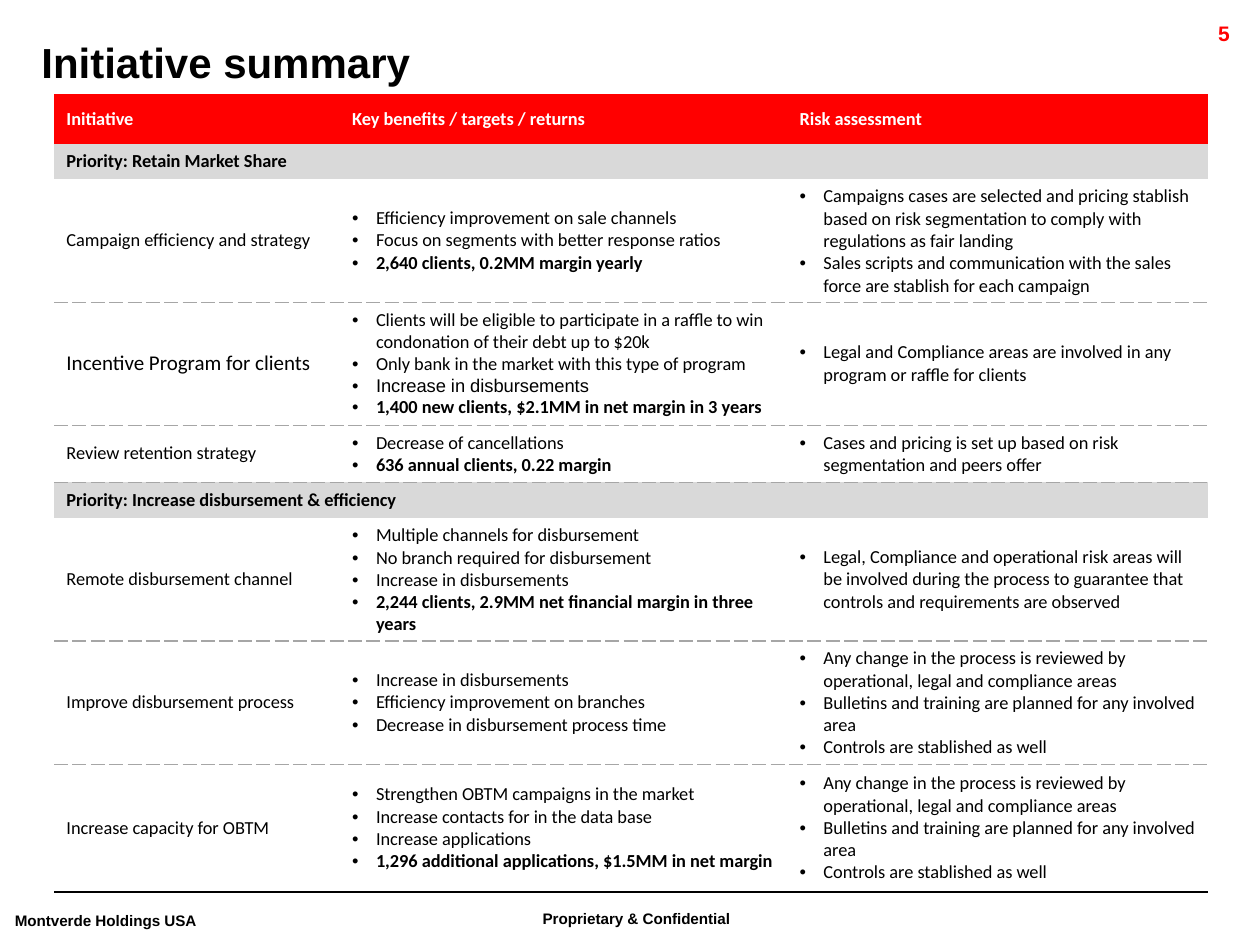
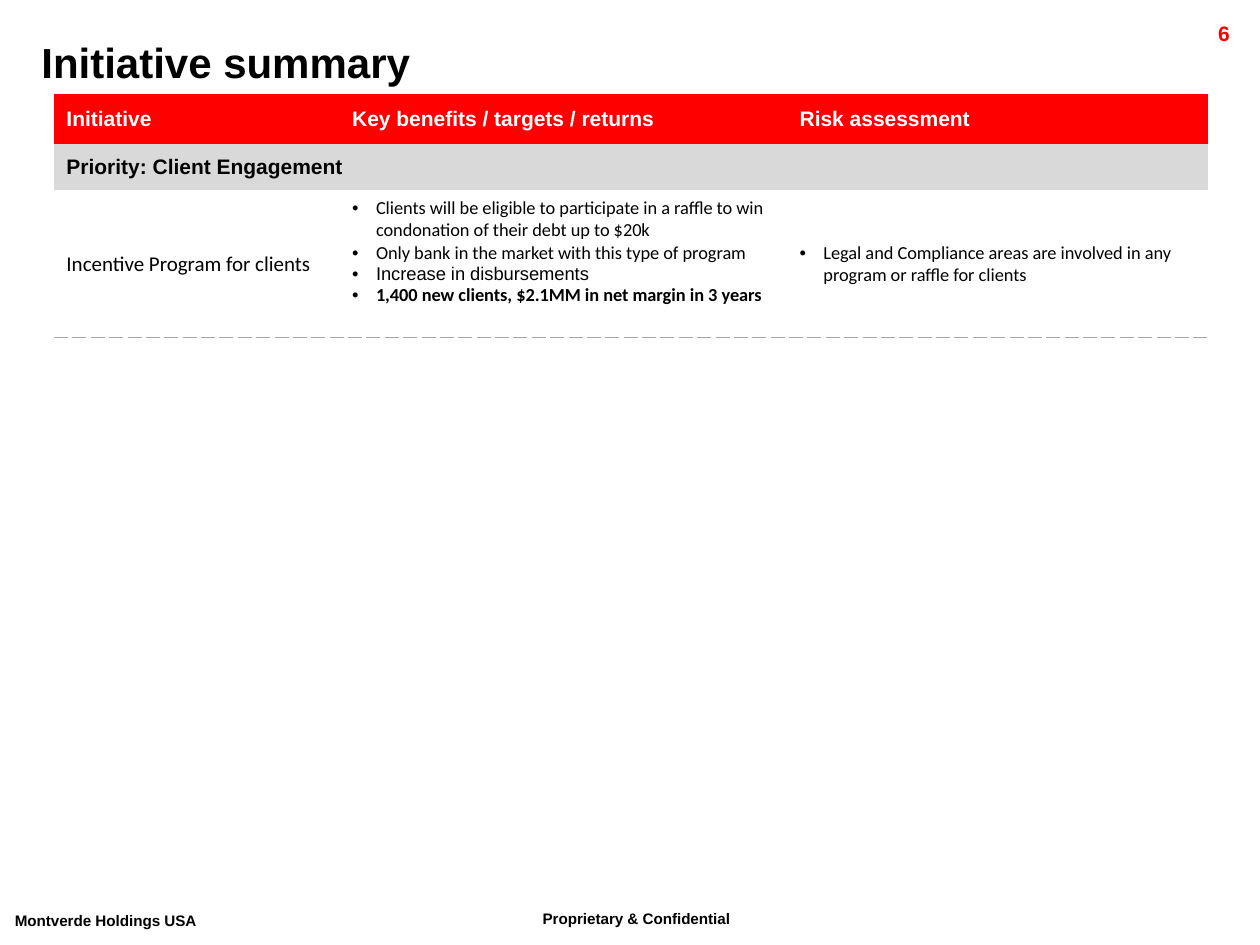
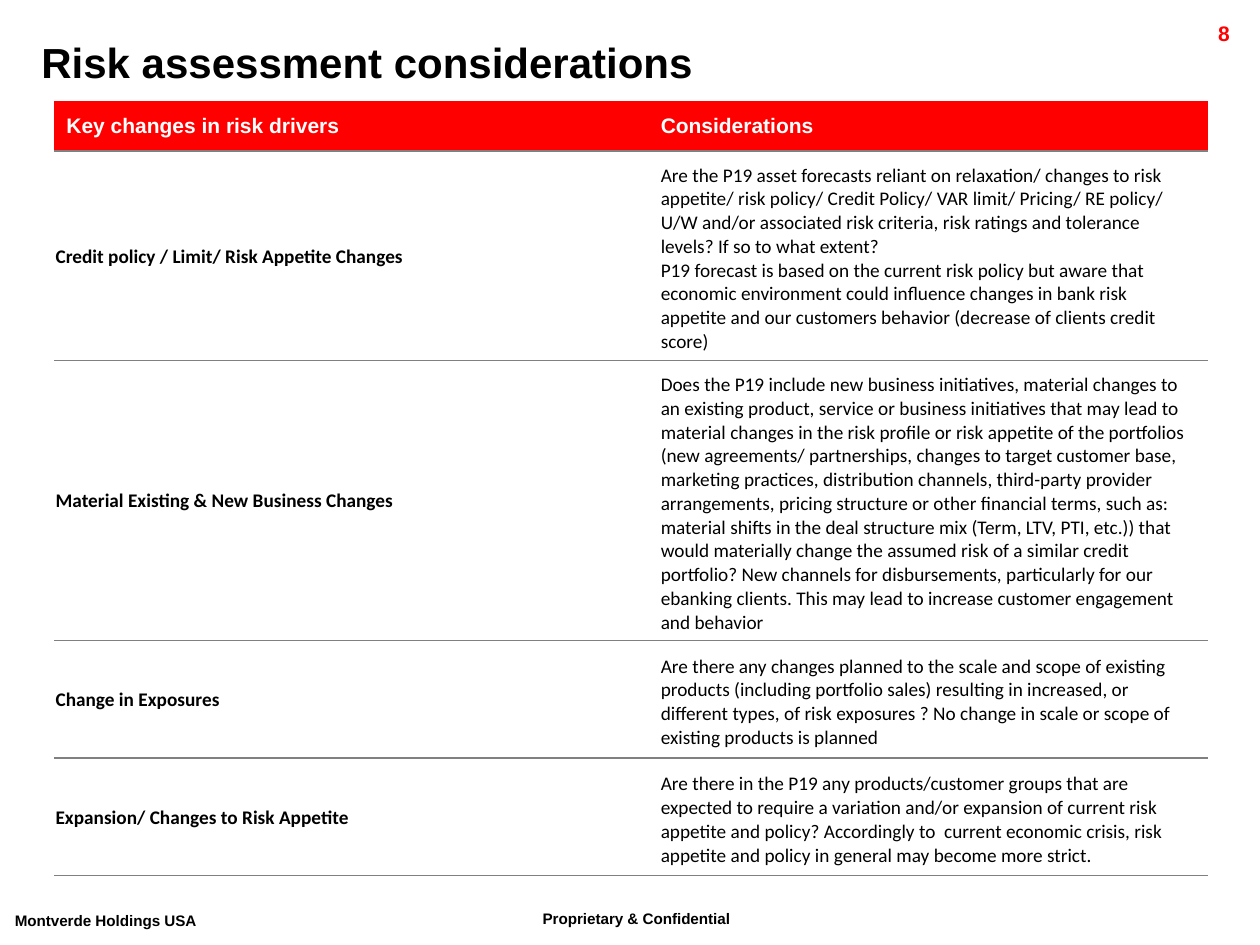
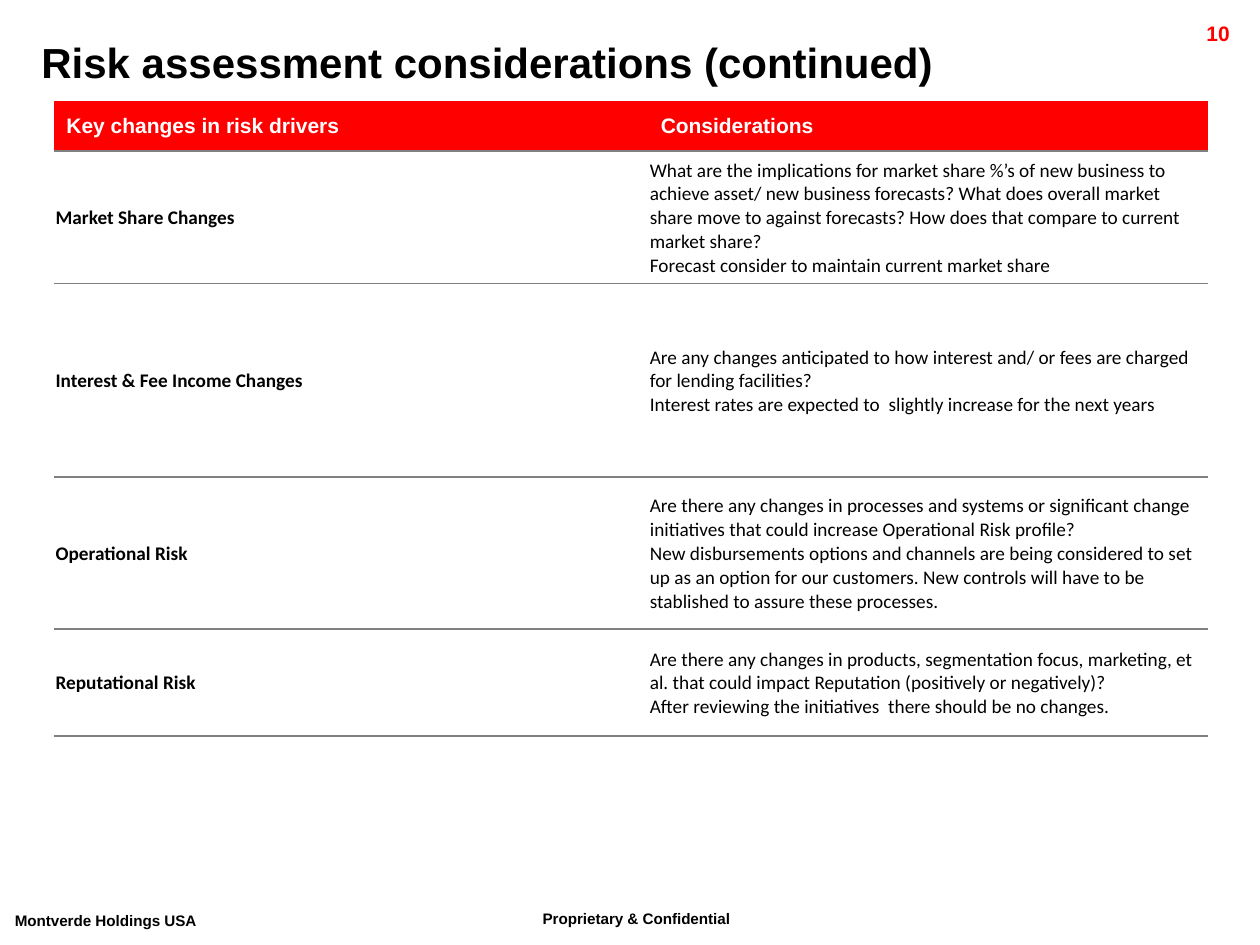
from lxml import etree
from pptx import Presentation
from pptx.dml.color import RGBColor
from pptx.enum.text import MSO_ANCHOR, MSO_AUTO_SIZE, PP_ALIGN
from pptx.oxml.ns import qn
from pptx.util import Cm, Pt

MIDDLE = MSO_ANCHOR.MIDDLE
NO_FIT = MSO_AUTO_SIZE.NONE
LEFT, RIGHT = PP_ALIGN.LEFT, PP_ALIGN.RIGHT
TITLE_ONLY = 5
NO_GRID_STYLE = "{2D5ABB26-0587-4C30-8999-92F81FD0307C}"

COLORS = {
    "black": "000000",
    "white": "FFFFFF",
    "red": "FF0000",
    "band": "D9D9D9",
    "dash": "A6A6A6",
    "line": "808080",
}
# Horizontal rules: colour, width in points, dash
RULES = {
    "dashed": ("dash", 0.75, "sysDash"),
    "grey": ("line", 1, "solid"),
    "black": ("black", 1, "solid"),
}
# Cell insets in cm: left, top, right, bottom
NORMAL = (0.25, 0.13, 0.25, 0.13)
TIGHT = (0.03, 0.03, 0.03, 0)
ROOMY = (0.25, 0.25, 0.25, 0.13)
RAISED = (0.25, 0.13, 0.25, 0.61)

FOOTERS = [
    ("Proprietary & Confidential", 10.69, 18.14, 5.54),
    ("Montverde Holdings USA", 0.05, 18.19, 4.85),
]
TABLE_LEFT = 1.09
INITIATIVE_COLUMNS = (5.76, 9.02, 8.49)
DRIVER_COLUMNS = (11.98, 11.28)

# Text used on more than one slide
INITIATIVE_HEAD = [["Initiative"], ["Key benefits / targets / returns"], ["Risk assessment"]]
DRIVER_HEAD = [["Key changes in risk drivers"], ["Considerations"]]
INCENTIVE = [
    ["Incentive Program for clients"],
    ["Clients will be eligible to participate in a raffle to win condonation of their debt up to $20k",
     "Only bank in the market with this type of program",
     "Increase in disbursements",
     "1,400 new clients, $2.1MM in net margin in 3 years"],
    ["Legal and Compliance areas are involved in any program or raffle for clients"],
]
PROCESS_RISKS = [
    "Any change in the process is reviewed by operational, legal and compliance areas",
    "Bulletins and training are planned for any involved area",
    "Controls are stablished as well",
]

# Rows: kind, height in cm, cells as lists of lines, rule below
retain_rows = [
    ("header", 1.01, INITIATIVE_HEAD, None),
    ("section", 0.71, [["Priority: Retain Market Share"]], None),
    ("initiative", 2.46, [
        ["Campaign efficiency and strategy"],
        ["Efficiency improvement on sale channels",
         "Focus on segments with better response ratios",
         "2,640 clients, 0.2MM margin yearly"],
        ["Campaigns cases are selected and pricing stablish based on risk segmentation "
         "to comply with regulations as fair landing",
         "Sales scripts and communication with the sales force are stablish for each campaign"],
    ], "dashed"),
    ("initiative", 2.48, INCENTIVE, "dashed"),
    ("initiative", 1.15, [
        ["Review retention strategy"],
        ["Decrease of cancellations", "636 annual clients, 0.22 margin"],
        ["Cases and pricing is set up based on risk segmentation and peers offer"],
    ], None),
    ("section", 0.72, [["Priority: Increase disbursement & efficiency"]], None),
    ("initiative", 2.46, [
        ["Remote disbursement channel"],
        ["Multiple channels for disbursement",
         "No branch required for disbursement",
         "Increase in disbursements",
         "2,244 clients, 2.9MM net financial margin in three years"],
        ["Legal, Compliance and operational risk areas will be involved during the process "
         "to guarantee that controls and requirements are observed"],
    ], "dashed"),
    ("initiative", 2.48, [
        ["Improve disbursement process"],
        ["Increase in disbursements",
         "Efficiency improvement on branches",
         "Decrease in disbursement process time"],
        PROCESS_RISKS,
    ], "dashed"),
    ("initiative", 2.58, [
        ["Increase capacity for OBTM"],
        ["Strengthen OBTM campaigns in the market",
         "Increase contacts for in the data base",
         "Increase applications",
         "1,296 additional applications, $1.5MM in net margin"],
        PROCESS_RISKS,
    ], "black"),
]
engagement_rows = [
    ("header", 1.02, INITIATIVE_HEAD, None),
    ("section", 0.93, [["Priority: Client Engagement"]], None),
    ("initiative", 2.96, INCENTIVE, "dashed"),
]
driver_rows = [
    ("header", 1.01, DRIVER_HEAD, "grey"),
    ("driver", 4.23, [
        ["Credit policy / Limit/ Risk Appetite Changes"],
        ["Are the P19 asset forecasts reliant on relaxation/ changes to risk appetite/ risk policy/ "
         "Credit Policy/ VAR limit/ Pricing/ RE policy/ U/W and/or associated risk criteria, "
         "risk ratings and tolerance levels? If so to what extent?",
         "P19 forecast is based on the current risk policy but aware that economic environment "
         "could influence changes in bank risk appetite and our customers behavior "
         "(decrease of clients credit score)"],
    ], "grey"),
    ("driver", 5.64, [
        ["Material Existing & New Business Changes"],
        ["Does the P19 include new business initiatives, material changes to an existing product, "
         "service or business initiatives that may lead to material changes in the risk profile or "
         "risk appetite of the portfolios (new agreements/ partnerships, changes to target customer "
         "base, marketing practices, distribution channels, third-party provider arrangements, "
         "pricing structure or other financial terms, such as: material shifts in the deal structure "
         "mix (Term, LTV, PTI, etc.)) that would materially change the assumed risk of a similar "
         "credit portfolio? New channels for disbursements, particularly for our ebanking clients. "
         "This may lead to increase customer engagement and behavior"],
    ], "grey"),
    ("driver", 2.37, [
        ["Change in Exposures"],
        ["Are there any changes planned to the scale and scope of existing products (including "
         "portfolio sales) resulting in increased, or different types, of risk exposures ? "
         "No change in scale or scope of existing products is planned"],
    ], "grey"),
    ("driver", 2.37, [
        ["Expansion/ Changes to Risk Appetite"],
        ["Are there in the P19 any products/customer groups that are expected to require a variation "
         "and/or expansion of current risk appetite and policy? Accordingly to  current economic "
         "crisis, risk appetite and policy in general may become more strict."],
    ], "grey"),
]
more_driver_rows = [
    ("header", 1.01, DRIVER_HEAD, "grey"),
    ("driver", 2.68, [
        ["Market Share Changes"],
        ["What are the implications for market share %’s of new business to achieve asset/ new "
         "business forecasts? What does overall market share move to against forecasts? "
         "How does that compare to current market share?",
         "Forecast consider to maintain current market share"],
    ], "grey"),
    ("driver", 3.9, [
        ["Interest & Fee Income Changes"],
        ["Are any changes anticipated to how interest and/ or fees are charged for lending facilities?",
         "Interest rates are expected to  slightly increase for the next years"],
    ], "grey"),
    ("driver", 3.06, [
        ["Operational Risk"],
        ["Are there any changes in processes and systems or significant change initiatives that "
         "could increase Operational Risk profile?",
         "New disbursements options and channels are being considered to set up as an option for our "
         "customers. New controls will have to be stablished to assure these processes."],
    ], "grey"),
    ("driver", 2.16, [
        ["Reputational Risk"],
        ["Are there any changes in products, segmentation focus, marketing, et al. that could impact "
         "Reputation (positively or negatively)?",
         "After reviewing the initiatives  there should be no changes."],
    ], "grey"),
]

# Pages: number, title, table top, columns, heading font and size, second-column insets, rows
PAGES = [
    ("5", "Initiative summary", 1.89, INITIATIVE_COLUMNS, "Calibri", 10.5, NORMAL, retain_rows),
    ("6", "Initiative summary", 1.89, INITIATIVE_COLUMNS, "Arial", 12, RAISED, engagement_rows),
    ("8", "Risk assessment considerations", 2.03, DRIVER_COLUMNS, "Arial", 12, ROOMY, driver_rows),
    ("10", "Risk assessment considerations (continued)", 2.03, DRIVER_COLUMNS, "Arial", 12, TIGHT,
     more_driver_rows),
]


def style(font, name, size, bold, color):
    font.name, font.size, font.bold = name, Pt(size), bold
    font.color.rgb = RGBColor.from_string(COLORS[color])


def add_rule(cell, tag, rule):
    color, width, dash = RULES[rule]
    line = etree.Element(qn("a:" + tag), w=str(Pt(width)))
    fill = etree.SubElement(line, qn("a:solidFill"))
    etree.SubElement(fill, qn("a:srgbClr"), val=COLORS[color])
    etree.SubElement(line, qn("a:prstDash"), val=dash)
    cell._tc.get_or_add_tcPr().insert(0, line)


deck = Presentation()
deck.slide_width, deck.slide_height = Cm(25.4), Cm(19.05)

for number, title, top, columns, head_font, head_size, second_insets, rows in PAGES:
    page = deck.slides.add_slide(deck.slide_layouts[TITLE_ONLY])

    # Footers
    for text, left, footer_top, width in FOOTERS:
        box = page.shapes.add_textbox(Cm(left), Cm(footer_top), Cm(width), Cm(0.89))
        box.text_frame.word_wrap = True
        span = box.text_frame.paragraphs[0].add_run()
        span.text = text
        style(span.font, "Arial", 15, True, "black")
        span._r.get_or_add_rPr().set("baseline", "30000")

    # Page number
    box = page.shapes.add_textbox(Cm(22.63), Cm(0.28), Cm(2.41), Cm(0.61))
    box.text_frame.word_wrap = True
    para = box.text_frame.paragraphs[0]
    para.text, para.alignment = number, RIGHT
    style(para.font, "Arial", 12, True, "red")

    # Title
    heading = page.shapes.title
    heading.left, heading.top, heading.width, heading.height = Cm(0.58), Cm(0.61), Cm(24.8), Cm(1.27)
    heading.text_frame.auto_size = NO_FIT
    heading.text_frame.vertical_anchor = MIDDLE
    para = heading.text_frame.paragraphs[0]
    para.text, para.alignment = title, LEFT
    style(para.font, "Arial", 24, True, "black")

    # Table grid
    frame = page.shapes.add_table(len(rows), len(columns), Cm(TABLE_LEFT), Cm(top),
                                  Cm(sum(columns)), Cm(sum(row[1] for row in rows)))
    table = frame.table
    table.horz_banding = False
    table._tbl.tblPr.find(qn("a:tableStyleId")).text = NO_GRID_STYLE
    for column, width in zip(table.columns, columns):
        column.width = Cm(width)

    rule_above = None
    for row_index, (kind, height, texts, rule_below) in enumerate(rows):
        table.rows[row_index].height = Cm(height)
        if kind == "section":
            table.cell(row_index, 0).merge(table.cell(row_index, len(columns) - 1))

        # Fills and rules across the whole row
        for column_index in range(len(columns)):
            cell = table.cell(row_index, column_index)
            if kind in ("header", "section"):
                cell.fill.solid()
                fill_name = "red" if kind == "header" else "band"
                cell.fill.fore_color.rgb = RGBColor.from_string(COLORS[fill_name])
            else:
                cell.fill.background()
            for tag, rule in (("lnB", rule_below), ("lnT", rule_above)):
                if rule:
                    add_rule(cell, tag, rule)
        rule_above = rule_below

        # Cell text
        for column_index, lines in enumerate(texts):
            cell = table.cell(row_index, column_index)
            cell.vertical_anchor = MIDDLE
            insets = NORMAL
            if kind == "driver" and column_index == 0:
                insets = TIGHT
            elif kind in ("driver", "initiative") and column_index == 1:
                insets = second_insets
            cell.margin_left, cell.margin_top, cell.margin_right, cell.margin_bottom = map(Cm, insets)

            for line_index, line in enumerate(lines):
                frame_text = cell.text_frame
                para = frame_text.add_paragraph() if line_index else frame_text.paragraphs[0]
                para.text = line
                font, size, bold, color = "Calibri", 10.5, False, "black"
                if kind in ("header", "section"):
                    font, size, bold = head_font, head_size, True
                    color = "white" if kind == "header" else "black"
                elif kind == "driver":
                    size, bold = 11, column_index == 0
                elif column_index:
                    properties = para._p.get_or_add_pPr()
                    properties.set("marL", str(Cm(0.48)))
                    properties.set("indent", str(Cm(-0.48)))
                    bullet_font = etree.SubElement(properties, qn("a:buFont"))
                    bullet_font.set("typeface", "Arial")
                    etree.SubElement(properties, qn("a:buChar"), char="•")
                    # Target figures stand out in bold
                    bold = line[0].isdigit()
                    if texts is INCENTIVE and line == "Increase in disbursements":
                        font = "Arial"
                elif texts is INCENTIVE:
                    size = 12
                style(para.font, font, size, bold, color)

deck.save("out.pptx")
